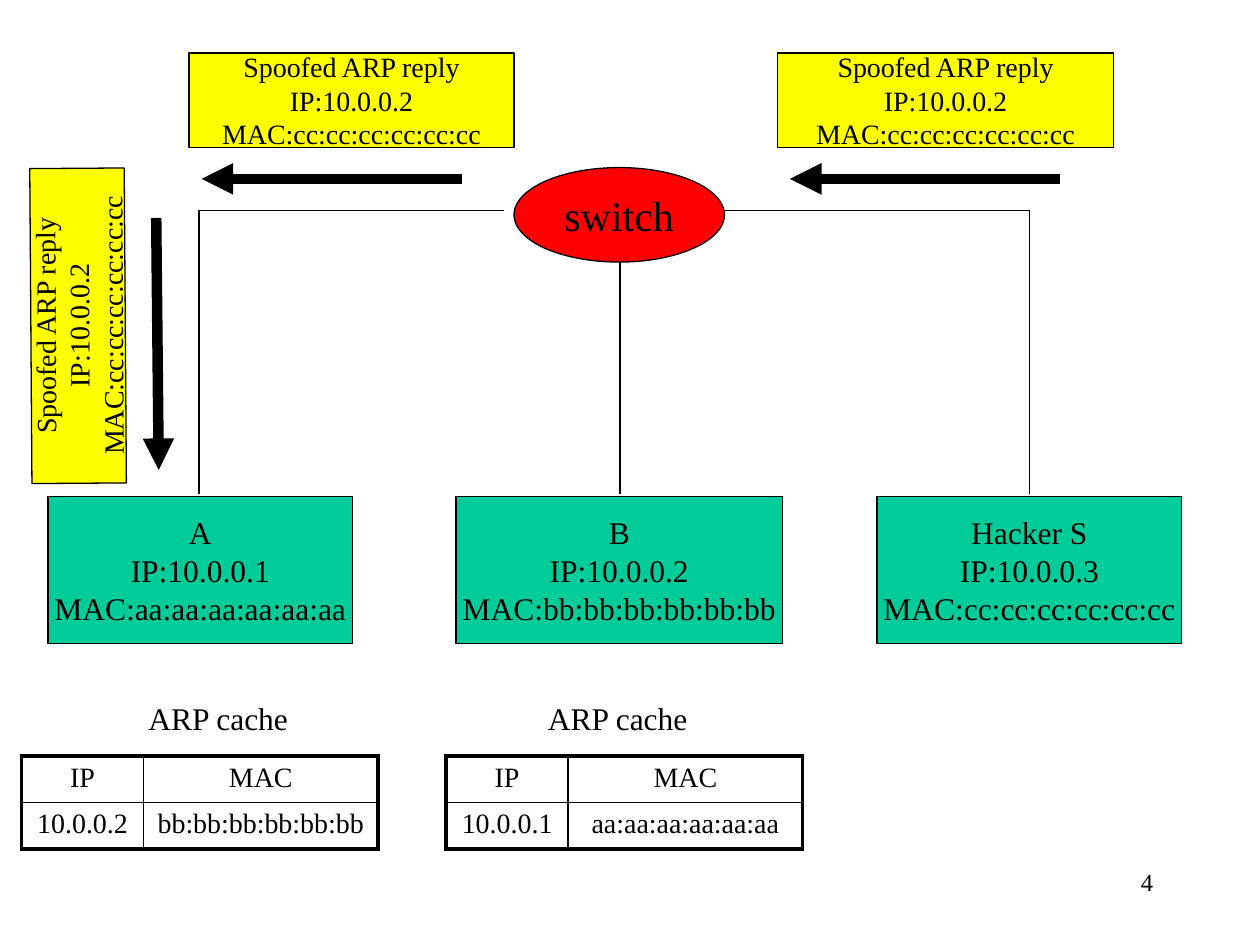
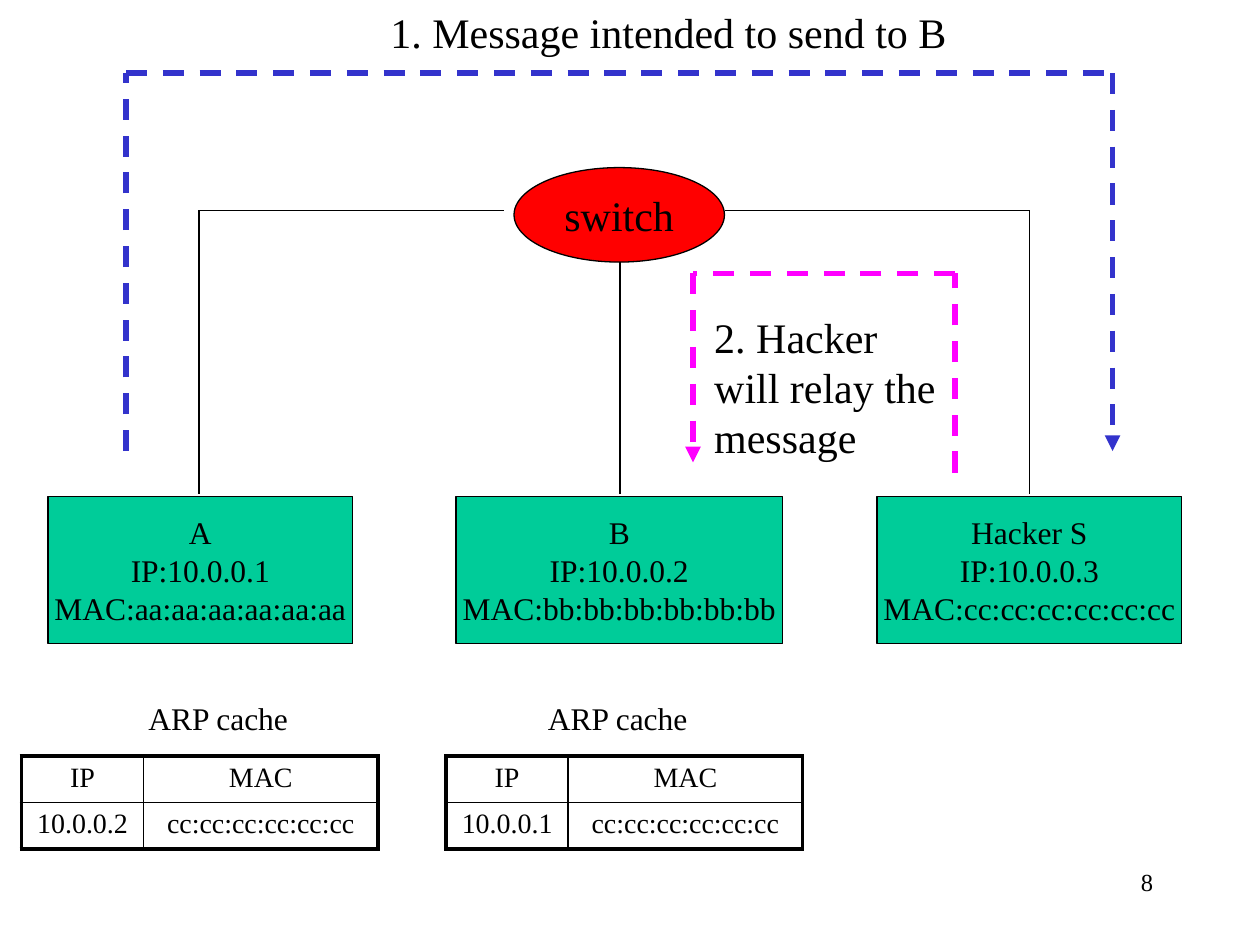
from lxml import etree
from pptx import Presentation
from pptx.dml.color import RGBColor
from pptx.enum.dml import MSO_LINE
from pptx.enum.shapes import MSO_CONNECTOR, MSO_SHAPE
from pptx.enum.text import MSO_ANCHOR, MSO_AUTO_SIZE, PP_ALIGN
from pptx.oxml.ns import qn
from pptx.util import Inches, Pt

RECT, OVAL = MSO_SHAPE.RECTANGLE, MSO_SHAPE.OVAL
STRAIGHT, DASH = MSO_CONNECTOR.STRAIGHT, MSO_LINE.DASH
LEFT, CENTER, RIGHT = PP_ALIGN.LEFT, PP_ALIGN.CENTER, PP_ALIGN.RIGHT
TOP, MIDDLE = MSO_ANCHOR.TOP, MSO_ANCHOR.MIDDLE
GROW = MSO_AUTO_SIZE.SHAPE_TO_FIT_TEXT

FONT = "Times New Roman"
BLACK, GREEN, RED, YELLOW = "000000", "00CC99", "FF0000", "FFFF00"
BLUE, MAGENTA = "3333CC", "FF00FF"
color = RGBColor.from_string


def add_text(s, text, box, size, align=LEFT, wrap=False, shape=None, fill=None):
    """Text box, or a filled and outlined shape with centred text."""
    box = [Inches(v) for v in box]
    if shape is None:
        sp = s.shapes.add_textbox(*box)
    else:
        sp = s.shapes.add_shape(shape, *box)
        sp.shadow.inherit = False
        sp.fill.solid()
        sp.fill.fore_color.rgb = color(fill)
        sp.line.color.rgb = color(BLACK)
        sp.line.width = Pt(0.75)
    tf = sp.text_frame
    tf.text = text
    tf.word_wrap = wrap
    tf.vertical_anchor = MIDDLE if shape is not None else TOP
    for p in tf.paragraphs:
        p.alignment = align
        for r in p.runs:
            r.font.name, r.font.size = FONT, Pt(size)
            r.font.color.rgb = color(BLACK)
    return sp


def add_path(s, points, width=0.75, line_color=BLACK, dash=None, arrow=False):
    """Straight lines from point to point, with an arrowhead on the last."""
    for start, end in zip(points, points[1:]):
        sp = s.shapes.add_connector(STRAIGHT, *[Inches(v) for v in start + end])
        sp.line.color.rgb = color(line_color)
        sp.line.width = Pt(width)
        if dash is not None:
            sp.line.dash_style = dash
        spPr = sp._element.spPr
        if arrow and end == points[-1]:
            etree.SubElement(spPr.find(qn("a:ln")), qn("a:tailEnd"), type="triangle")
        etree.SubElement(spPr, qn("a:effectLst"))


prs = Presentation()
prs.slide_width, prs.slide_height = Inches(10), Inches(7.5)

# Hosts: left, width, text
hosts = [
    (0.38, 2.42, "A\nIP:10.0.0.1\nMAC:aa:aa:aa:aa:aa:aa"),
    (3.62, 2.59, "B\nIP:10.0.0.2\nMAC:bb:bb:bb:bb:bb:bb"),
    (6.96, 2.42, "Hacker S\nIP:10.0.0.3\nMAC:cc:cc:cc:cc:cc:cc"),
]
cables = [
    [(4.92, 2.08), (4.92, 3.92)],
    [(1.58, 3.92), (1.58, 1.67), (4, 1.67)],
    [(5.75, 1.67), (8.17, 1.67), (8.17, 3.92)],
]
# ARP caches: label left, table left, cached IP
caches = [(1.08, 0.17, "10.0.0.2"), (4.25, 3.54, "10.0.0.1")]
# Page number and the MAC cached by A and by B
pages = [
    ("4", ["bb:bb:bb:bb:bb:bb", "aa:aa:aa:aa:aa:aa"]),
    ("8", ["cc:cc:cc:cc:cc:cc"] * 2),
]

# Network, ARP caches and page number on every slide
slides = []
for number, macs in pages:
    s = prs.slides.add_slide(prs.slide_layouts[6])
    slides.append(s)
    for left, width, text in hosts:
        add_text(s, text, (left, 3.94, width, 1.17), 18, CENTER, shape=RECT, fill=GREEN)
    add_text(s, "switch", (4.08, 1.33, 1.67, 0.75), 24, CENTER, shape=OVAL, fill=RED)
    for points in cables:
        add_path(s, points)

    for (label_left, table_left, ip), mac in zip(caches, macs):
        label = add_text(s, "ARP cache", (label_left, 5.5, 1.32, 0.4), 18)
        label.text_frame.auto_size = GROW
        table = s.shapes.add_table(2, 2, Inches(table_left), Inches(6),
                                   Inches(2.83), Inches(0.74)).table
        table.first_row = table.horz_banding = False
        table.columns[0].width, table.columns[1].width = Inches(0.97), Inches(1.86)
        for row, values in enumerate([("IP", "MAC"), (ip, mac)]):
            for col, value in enumerate(values):
                cell = table.cell(row, col)
                cell.text = value
                p = cell.text_frame.paragraphs[0]
                p.alignment = CENTER
                font = p.runs[0].font
                font.name, font.size = FONT, Pt(16)
                font.color.rgb = color(BLACK)
                # Thick outer border, thin inner border
                tcPr = cell._tc.get_or_add_tcPr()
                outer = {"L": col == 0, "R": col == 1, "T": row == 0, "B": row == 1}
                for side, thick in outer.items():
                    ln = etree.SubElement(tcPr, qn("a:ln" + side),
                                          w=str(Pt(2.25 if thick else 1)))
                    solid = etree.SubElement(ln, qn("a:solidFill"))
                    etree.SubElement(solid, qn("a:srgbClr"), val=BLACK)
                cell.fill.background()

    add_text(s, number, (7.17, 6.83, 2.08, 0.5), 14, RIGHT, wrap=True)

spoofing, relaying = slides

# Spoofed replies: box, rotation, arrow
replies = [
    ((6.17, 0.42, 2.67, 0.75), 0, [(8.41, 1.42), (6.27, 1.42)]),
    ((-0.63, 2.21, 2.5, 0.75), 269.6, [(1.24, 1.73), (1.26, 3.73)]),
    ((1.5, 0.42, 2.58, 0.75), 0, [(3.67, 1.42), (1.6, 1.42)]),
]
for box, rotation, points in replies:
    sp = add_text(spoofing, "Spoofed ARP reply\nIP:10.0.0.2\nMAC:cc:cc:cc:cc:cc:cc",
                  box, 16, CENTER, shape=RECT, fill=YELLOW)
    sp.rotation = rotation
    add_path(spoofing, points, width=6, arrow=True)

# Message from A to the hacker, then relayed to B
routes = [
    (BLUE, [(1, 3.58), (1, 0.58), (8.83, 0.58), (8.83, 3.58)],
     "1. Message intended to send to B", (3, 0, 4.66, 0.51), False),
    (MAGENTA, [(7.58, 3.75), (7.58, 2.17), (5.5, 2.17), (5.5, 3.67)],
     "2. Hacker\nwill relay the\nmessage", (5.57, 2.42, 2.01, 1.31), True),
]
for line_color, points, text, box, wrap in routes:
    add_path(relaying, points, 3, line_color, DASH, arrow=True)
    add_text(relaying, text, box, 24, wrap=wrap).text_frame.auto_size = GROW

prs.save("out.pptx")
